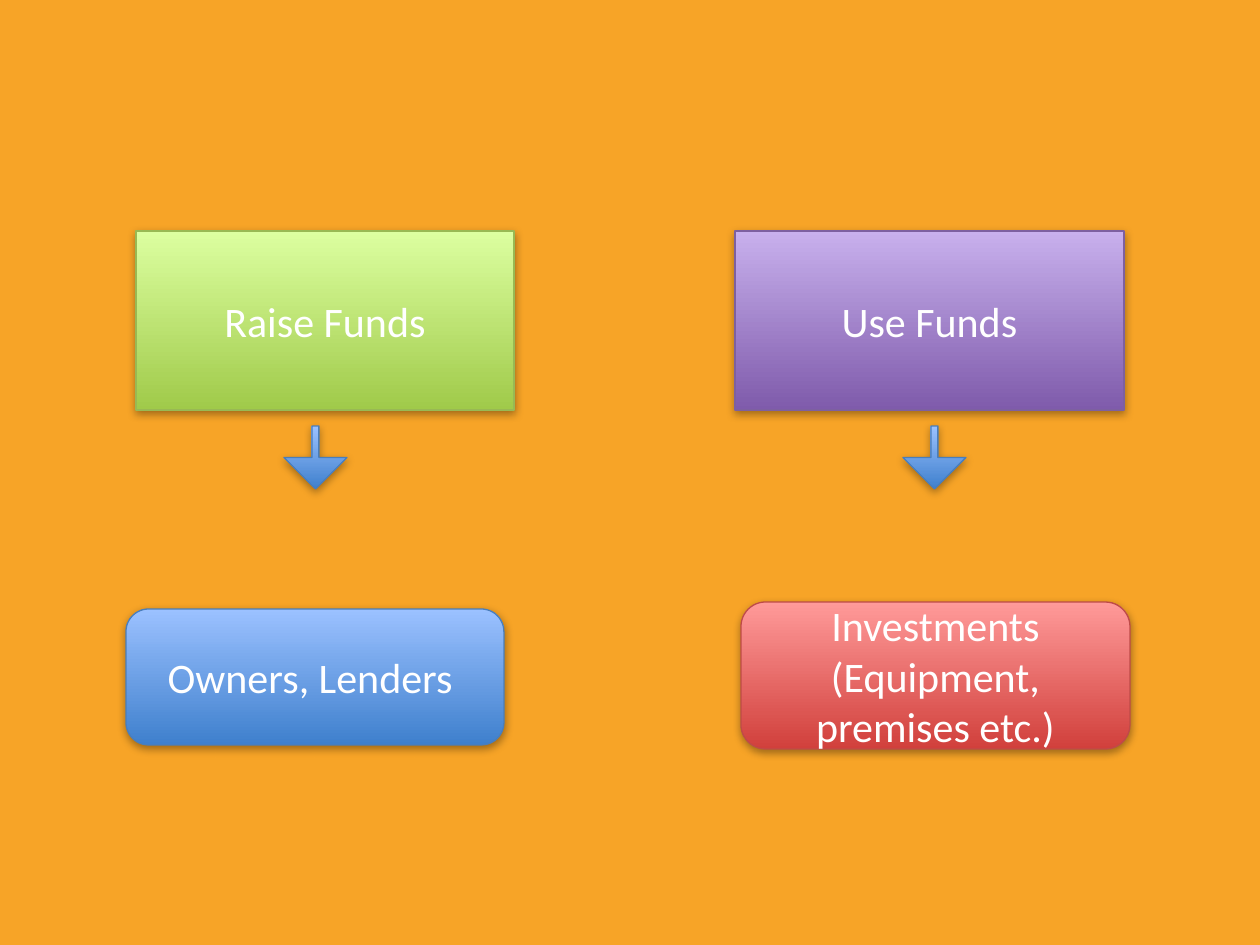
from lxml.etree import SubElement
from pptx import Presentation
from pptx.dml.color import RGBColor
from pptx.enum.shapes import MSO_SHAPE
from pptx.enum.text import MSO_ANCHOR, PP_ALIGN
from pptx.oxml.ns import qn
from pptx.util import Emu, Pt

SCALE = 914400 / 126
HEX = {
    "back": "F7A427",
    "text": "FFFFFF",
    "shade": "000000",
    "green": ("A0CA4A", "DCFFA0", "98B954"),
    "blue": ("3F80CD", "9BC1FF", "4A7EBB"),
    "purple": ("7F5BAB", "C8B0ED", "7D60A0"),
    "red": ("D1403C", "FF9A99", "BE4B48"),
}


def px(num):
    return Emu(round(num * SCALE))


def rgb(code):
    return RGBColor.from_string(code)


def add_shade(shape):
    shape.shadow.inherit = False
    effects = shape._element.spPr.find(qn("a:effectLst"))
    outer = SubElement(effects, qn("a:outerShdw"), blurRad=str(Pt(5)),
                       dist=str(Pt(1.8)), dir="5400000", rotWithShape="0")
    color = SubElement(outer, qn("a:srgbClr"), val=HEX["shade"])
    SubElement(color, qn("a:alpha"), val="35000")


def add_form(slide, kind, area, hue):
    shape = slide.shapes.add_shape(kind, *map(px, area))
    low, high, edge = HEX[hue]
    shape.fill.gradient()
    shape.fill.gradient_angle = 90
    for stop, code in zip(shape.fill.gradient_stops, (low, high)):
        stop.color.rgb = rgb(code)
    shape.line.color.rgb = rgb(edge)
    shape.line.width = Pt(0.75)
    add_shade(shape)
    return shape


def add_box(slide, kind, area, hue, text):
    frame = add_form(slide, kind, area, hue).text_frame
    frame.word_wrap = True
    frame.vertical_anchor = MSO_ANCHOR.MIDDLE
    frame.text = text
    para = frame.paragraphs[0]
    para.alignment = PP_ALIGN.CENTER
    font = para.runs[0].font
    font.name = "Calibri"
    font.size = Pt(24)
    font.color.rgb = rgb(HEX["text"])


def add_arrow(slide, left):
    arrow = add_form(slide, MSO_SHAPE.DOWN_ARROW, (left, 426, 63, 63), "blue")
    arrow.adjustments[0] = 0.11


def add_flow(slide, top, left, base):
    add_box(slide, MSO_SHAPE.RECTANGLE, *top)
    add_arrow(slide, left)
    add_box(slide, MSO_SHAPE.ROUNDED_RECTANGLE, *base)


def main():
    deck = Presentation()
    deck.slide_width, deck.slide_height = px(1260), px(945)
    slide = deck.slides.add_slide(deck.slide_layouts[6])
    slide.background.fill.solid()
    slide.background.fill.fore_color.rgb = rgb(HEX["back"])
    add_flow(slide,
             ((136, 231, 378, 179), "green", "Raise Funds"), 284,
             ((126, 609, 378, 136), "blue", "Owners, Lenders "))
    add_flow(slide,
             ((735, 231, 389, 179), "purple", "Use Funds"), 903,
             ((741, 602, 389, 147), "red",
              "Investments (Equipment, premises etc.)"))
    deck.save("out.pptx")


if __name__ == "__main__":
    main()
